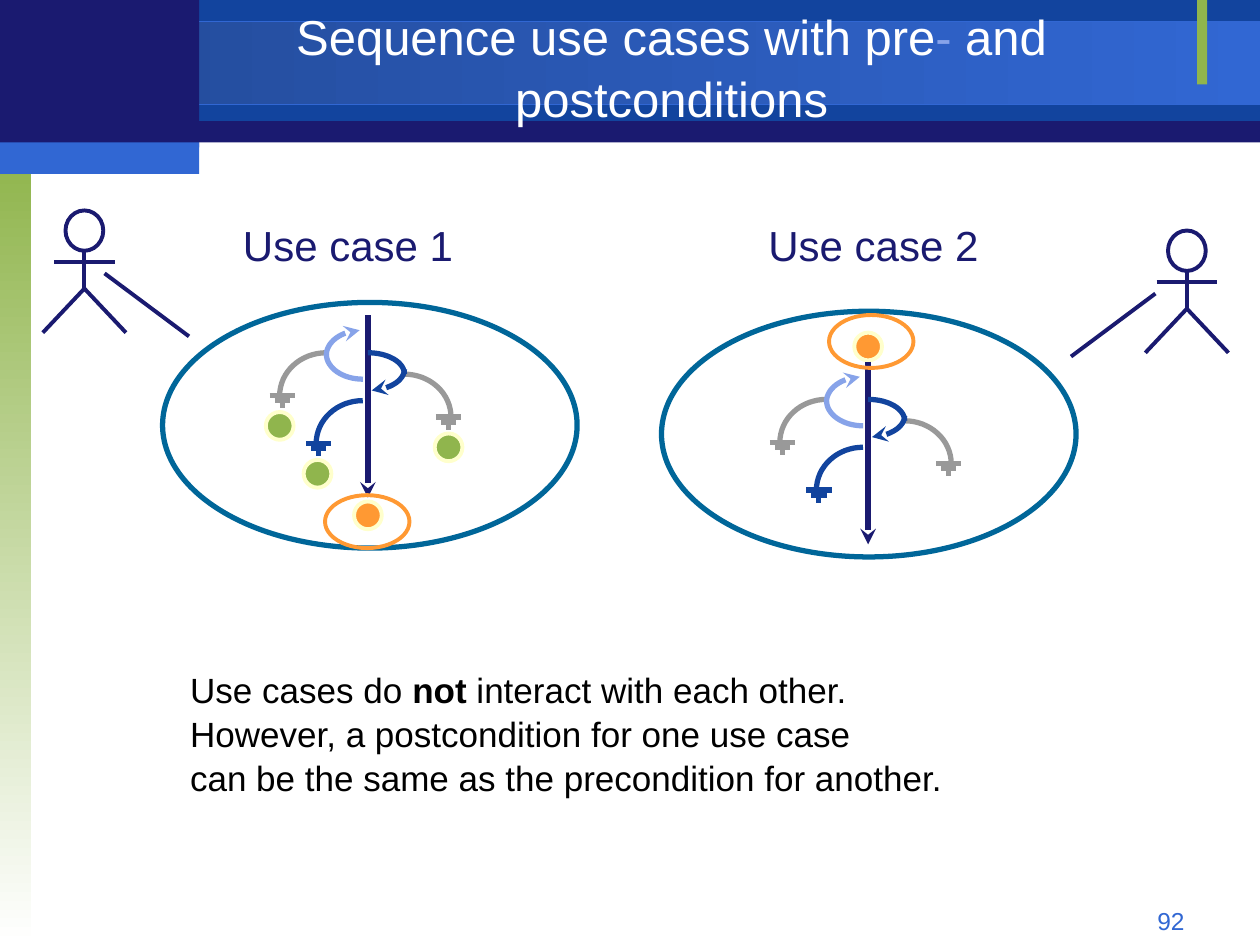
from dataclasses import dataclass
from math import cos, radians, sin

from lxml import etree
from pptx import Presentation
from pptx.dml.color import RGBColor
from pptx.enum.shapes import MSO_CONNECTOR, MSO_SHAPE
from pptx.enum.text import MSO_ANCHOR, PP_ALIGN
from pptx.oxml.ns import qn
from pptx.util import Cm, Pt

RECTANGLE, OVAL = MSO_SHAPE.RECTANGLE, MSO_SHAPE.OVAL
DOT = MSO_SHAPE.FLOWCHART_CONNECTOR
STRAIGHT = MSO_CONNECTOR.STRAIGHT
LEFT, CENTER, RIGHT = PP_ALIGN.LEFT, PP_ALIGN.CENTER, PP_ALIGN.RIGHT
TOP, MIDDLE = MSO_ANCHOR.TOP, MSO_ANCHOR.MIDDLE

NAVY = RGBColor(0x1A, 0x1A, 0x70)
BLUE = RGBColor(0x12, 0x44, 0x9E)
DEEP_BLUE = RGBColor(0x23, 0x4A, 0x97)
BRIGHT_BLUE = RGBColor(0x31, 0x67, 0xD3)
LIGHT_BLUE = RGBColor(0x87, 0xA3, 0xE9)
TEAL = RGBColor(0x00, 0x66, 0x99)
GREEN = RGBColor(0x90, 0xB5, 0x4D)
ORANGE = RGBColor(0xFF, 0x99, 0x33)
CREAM = RGBColor(0xFF, 0xFF, 0xCC)
GREY = RGBColor(0x99, 0x99, 0x99)
WHITE = RGBColor(0xFF, 0xFF, 0xFF)
BLACK = RGBColor(0x00, 0x00, 0x00)

LINE_SPACING = 1.05
ARC_STEPS = 16


@dataclass(frozen=True)
class Pen:
    color: RGBColor
    width: float = 3
    arrow: bool = False


@dataclass(frozen=True)
class Arc:
    x: float
    y: float
    width: float
    height: float
    start: int
    end: int
    pen: Pen


@dataclass(frozen=True)
class Ground:
    x: float
    y: float
    side: int
    color: RGBColor


@dataclass(frozen=True)
class Span:
    text: str
    color: RGBColor
    bold: bool = False


@dataclass(frozen=True)
class UseCase:
    name: str
    label_x: float
    oval: tuple
    axis: tuple
    dots: tuple
    highlight: tuple
    actor: tuple
    link: tuple


ARCS = (
    Arc(-0.04, 0.31, 0.29, 0.2, 90, 180, Pen(LIGHT_BLUE)),
    Arc(-0.04, 0.32, 0.29, 0.2, 180, 265, Pen(LIGHT_BLUE, arrow=True)),
    Arc(0, 0.47, 0.29, 0.17, -90, 0, Pen(BLUE)),
    Arc(0, 0.43, 0.29, 0.17, 0, 84, Pen(BLUE, arrow=True)),
)
GROUNDS = (
    Ground(0.29, 0.81, 1, GREY),
    Ground(-0.33, 0.64, -1, GREY),
    Ground(-0.04, 1.02, -1, BLUE),
)
USE_CASES = (
    UseCase("Use case 1", 1.83, (1.29, 2.4), (2.92, 2.5),
            ((2.41, 3.65, GREEN), (2.81, 3.98, ORANGE),
             (2.11, 3.27, GREEN), (3.45, 3.44, GREEN)),
            (2.58, 3.93), (0.67, 1.67), ((0.83, 2.17), (1.5, 2.67))),
    UseCase("Use case 2", 6, (5.25, 2.47), (6.89, 2.87),
            ((6.78, 2.64, ORANGE),),
            (6.58, 2.5), (9.42, 1.83), ((9.17, 2.33), (8.5, 2.83))),
)


def length(inches: float) -> Cm:
    return Cm(inches * 2.54)


def apply_pen(item, pen: Pen) -> None:
    item.line.color.rgb = pen.color
    item.line.width = Pt(pen.width)
    if pen.arrow:
        outline = item._element.spPr.find(qn("a:ln"))
        etree.SubElement(outline, qn("a:tailEnd"), type="stealth")


def add_figure(page, kind, box: tuple, fill: RGBColor | None = None,
               pen: Pen | None = None):
    shape = page.shapes.add_shape(kind, *map(length, box))
    shape.shadow.inherit = False
    if fill is None:
        shape.fill.background()
    else:
        shape.fill.solid()
        shape.fill.fore_color.rgb = fill
    if pen:
        apply_pen(shape, pen)
    else:
        shape.line.fill.background()
    return shape


def add_gradient(page, box: tuple, colors: tuple, angle: int,
                 pen: Pen | None = None) -> None:
    shape = add_figure(page, RECTANGLE, box, pen=pen)
    shape.fill.gradient()
    shape.fill.gradient_angle = angle
    for stop, color in zip(shape.fill.gradient_stops, colors):
        stop.color.rgb = color


def add_line(page, start: tuple, end: tuple, pen: Pen) -> None:
    line = page.shapes.add_connector(STRAIGHT, *map(length, start + end))
    apply_pen(line, pen)
    etree.SubElement(line._element.spPr, qn("a:effectLst"))


def add_outline(page, points: list, pen: Pen) -> None:
    corners = [(length(x), length(y)) for x, y in points]
    builder = page.shapes.build_freeform(*corners[0])
    builder.add_line_segments(corners[1:], close=False)
    outline = builder.convert_to_shape()
    outline.shadow.inherit = False
    outline.fill.background()
    apply_pen(outline, pen)


def add_arc(page, origin: tuple, arc: Arc) -> None:
    points = []
    for step in range(ARC_STEPS + 1):
        angle = radians(arc.start + (arc.end - arc.start) * step / ARC_STEPS)
        points.append((origin[0] + arc.x + arc.width * cos(angle),
                       origin[1] + arc.y + arc.height * sin(angle)))
    add_outline(page, points, arc.pen)


def add_ground(page, origin: tuple, ground: Ground) -> None:
    pen = Pen(ground.color)
    start, end = (-90, 0) if ground.side > 0 else (180, 270)
    add_arc(page, origin, Arc(ground.x, ground.y, 0.37, 0.34, start, end, pen))
    middle = origin[0] + ground.x + ground.side * 0.35
    for row, half in enumerate((0.1, 0.06, 0.02)):
        y = origin[1] + ground.y + row * 0.04
        add_line(page, (middle - half, y), (middle + half, y), pen)


def add_actor(page, x: float, y: float) -> None:
    pen = Pen(NAVY, 2.25)
    add_figure(page, OVAL, (x - 0.15, y, 0.3, 0.32), pen=pen)
    add_line(page, (x, y + 0.32), (x, y + 0.62), pen)
    add_line(page, (x - 0.24, y + 0.41), (x + 0.24, y + 0.41), pen)
    add_outline(page, [(x - 0.33, y + 0.97), (x, y + 0.62), (x + 0.33, y + 0.97)], pen)


def add_text(page, place: tuple, lines: list[list[Span]], size: int,
             align=LEFT, anchor=TOP) -> None:
    box = page.shapes.add_textbox(*map(length, place))
    frame = box.text_frame
    frame.word_wrap = True
    frame.vertical_anchor = anchor
    para = frame.paragraphs[0]
    para.alignment = align
    para.line_spacing = LINE_SPACING
    para.font.name = "Arial"
    para.font.size = Pt(size)
    for index, spans in enumerate(lines):
        if index:
            para.add_line_break()
        for span in spans:
            run = para.add_run()
            run.text = span.text
            run.font.color.rgb = span.color
            run.font.bold = span.bold


def add_use_case(page, case: UseCase) -> None:
    x, y = case.axis
    for left, top, color in case.dots:
        add_figure(page, DOT, (left, top, 0.22, 0.22), color, Pen(CREAM, 2.25))
    for ground in GROUNDS:
        add_ground(page, case.axis, ground)
    add_line(page, case.axis, (x, y + 1.45), Pen(NAVY, arrow=True))
    for arc in ARCS:
        add_arc(page, case.axis, arc)
    add_figure(page, OVAL, (*case.oval, 3.29, 1.95), pen=Pen(TEAL))
    add_figure(page, OVAL, (*case.highlight, 0.67, 0.42), pen=Pen(ORANGE, 2.25))
    add_actor(page, *case.actor)
    add_line(page, *case.link, Pen(NAVY, 2.25))
    add_text(page, (case.label_x, 1.67, 2, 0.51), [[Span(case.name, NAVY)]], 24)


def add_backdrop(page) -> None:
    add_figure(page, RECTANGLE, (0, 0.01, 10, 1.12), NAVY)
    add_figure(page, RECTANGLE, (1.58, 0, 8.42, 0.96), BLUE)
    add_gradient(page, (0, 0.17, 10, 0.66), (DEEP_BLUE, BRIGHT_BLUE), 0,
                 Pen(BRIGHT_BLUE, 0.75))
    add_gradient(page, (0, 1.25, 0.25, 6.25), (GREEN, WHITE), 270)
    add_figure(page, RECTANGLE, (9.5, 0, 0.08, 0.67), GREEN)
    add_figure(page, RECTANGLE, (0, 0, 1.58, 1.17), NAVY)
    add_figure(page, RECTANGLE, (0, 1.13, 1.58, 0.25), BRIGHT_BLUE)


def main() -> None:
    deck = Presentation()
    deck.slide_width, deck.slide_height = length(10), length(7.5)
    page = deck.slides.add_slide(deck.slide_layouts[6])
    add_backdrop(page)
    for case in USE_CASES:
        add_use_case(page, case)
    add_text(page, (1.58, 0.23, 7.5, 0.58), [[
        Span("Sequence use cases with pre", WHITE), Span("-", LIGHT_BLUE),
        Span(" and postconditions", WHITE)]], 28, CENTER, MIDDLE)
    add_text(page, (1.41, 5.24, 7.35, 1.11), [
        [Span("Use cases do ", BLACK), Span("not", BLACK, True),
         Span(" interact with each other.", BLACK)],
        [Span("However, a postcondition for one use case", BLACK)],
        [Span("can be the same as the precondition for another.", BLACK)]], 20)
    add_text(page, (7.17, 7.13, 2.33, 0.27), [[Span("92", BRIGHT_BLUE)]], 14, RIGHT)
    deck.save("out.pptx")


if __name__ == "__main__":
    main()
